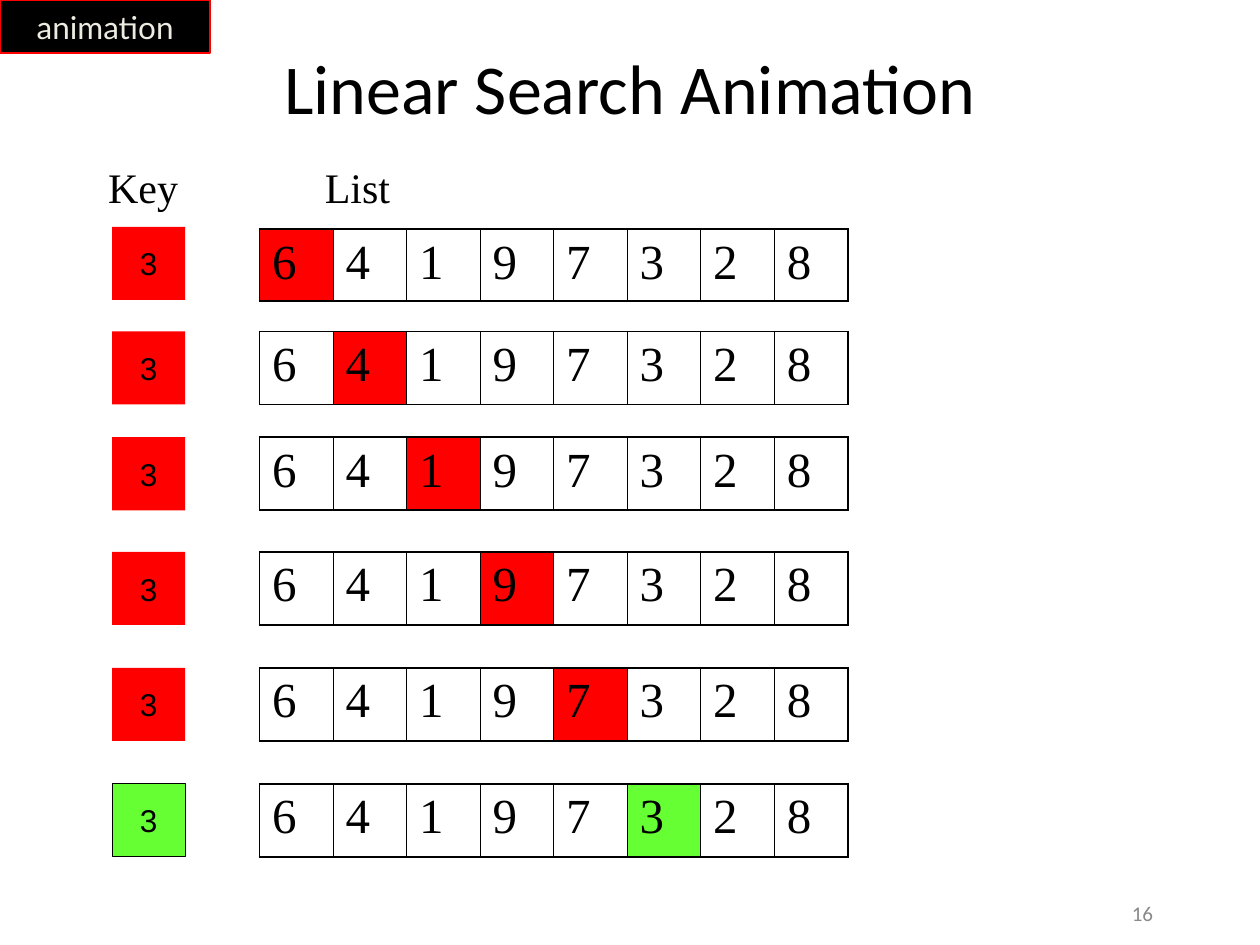
from dataclasses import dataclass

from lxml.etree import SubElement
from pptx import Presentation
from pptx.dml.color import RGBColor
from pptx.enum.shapes import MSO_SHAPE
from pptx.enum.text import MSO_ANCHOR, PP_ALIGN
from pptx.oxml.ns import qn
from pptx.slide import Slide
from pptx.text.text import TextFrame
from pptx.util import Inches, Pt

HEX = {
    "black": "000000",
    "red": "FF0000",
    "green": "66FF33",
    "cream": "EEECE1",
    "grey": "898989",
}
ITEMS = "64197328"
KEY = "3"
SIDE = 0.58
WIDTH = 4.67
THIN, THICK = 0.45, 1.08


@dataclass(frozen=True)
class Box:
    left: float
    top: float
    width: float
    height: float

    def place(self) -> tuple:
        return tuple(Inches(v) for v in (self.left, self.top, self.width, self.height))


@dataclass(frozen=True)
class Font:
    name: str
    size: int
    tint: str = "black"


@dataclass(frozen=True)
class Label:
    text: str
    box: Box
    font: Font
    align: PP_ALIGN = PP_ALIGN.LEFT
    anchor: MSO_ANCHOR = MSO_ANCHOR.TOP
    before: int = 0


@dataclass(frozen=True)
class Step:
    key_top: float
    list_top: float
    height: float = SIDE


SERIF = Font("Times New Roman", 24)
DIGIT = Font("Times New Roman", 28)
LABELS = [
    Label("Linear Search Animation", Box(0.75, 0.31, 8.5, 0.75), Font("Calibri", 40),
          PP_ALIGN.CENTER, MSO_ANCHOR.MIDDLE),
    Label("16", Box(7.17, 7, 2.08, 0.5), Font("Calibri", 12, "grey"),
          PP_ALIGN.RIGHT, MSO_ANCHOR.MIDDLE),
    Label("Key", Box(0.76, 1.23, 1.22, 0.5), SERIF, before=15),
    Label("List", Box(2.48, 1.23, 2.44, 0.5), SERIF, before=15),
]
STEPS = [Step(1.8, 1.82, 0.57)] + [Step(y, y) for y in (2.63, 3.47, 4.38, 5.3, 6.22)]


def shade(name: str) -> RGBColor:
    """Return the named colour."""
    return RGBColor.from_string(HEX[name])


def write(frame: TextFrame, text: str, font: Font, align: PP_ALIGN, before: int = 0) -> None:
    """Write one run into the first paragraph."""
    para = frame.paragraphs[0]
    para.alignment = align
    if before:
        para.space_before = Pt(before)
    run = para.add_run()
    run.text = text
    run.font.name = font.name
    run.font.size = Pt(font.size)
    run.font.color.rgb = shade(font.tint)


def add_label(slide: Slide, label: Label) -> None:
    """Add a plain text box."""
    frame = slide.shapes.add_textbox(*label.box.place()).text_frame
    frame.word_wrap = True
    frame.vertical_anchor = label.anchor
    write(frame, label.text, label.font, label.align, label.before)


def add_block(slide: Slide, text: str, box: Box, fill: str, font: Font,
              line: str | None = None, weight: float = 1) -> None:
    """Add a filled rectangle with centred text."""
    shape = slide.shapes.add_shape(MSO_SHAPE.RECTANGLE, *box.place())
    shape.shadow.inherit = False
    shape.fill.solid()
    shape.fill.fore_color.rgb = shade(fill)
    if line:
        shape.line.color.rgb = shade(line)
        shape.line.width = Pt(weight)
    else:
        shape.line.fill.background()
    frame = shape.text_frame
    frame.word_wrap = False
    frame.vertical_anchor = MSO_ANCHOR.MIDDLE
    write(frame, text, font, PP_ALIGN.CENTER)


def add_edges(cell, widths: dict[str, float]) -> None:
    """Draw the cell borders in schema order."""
    props = cell._tc.get_or_add_tcPr()
    for spot, (side, width) in enumerate(widths.items()):
        edge = SubElement(props, qn(f"a:ln{side}"), w=str(Pt(width)))
        paint = SubElement(edge, qn("a:solidFill"))
        SubElement(paint, qn("a:srgbClr"), val=HEX["black"])
        props.insert(spot, edge)


def add_list(slide: Slide, box: Box, found: int, tint: str) -> None:
    """Add the list as a table with one marked cell."""
    count = len(ITEMS)
    table = slide.shapes.add_table(1, count, *box.place()).table
    table.first_row = table.horz_banding = False
    table.rows[0].height = Inches(box.height)
    for col, item in enumerate(ITEMS):
        table.columns[col].width = Inches(box.width / count)
        cell = table.cell(0, col)
        if col == found:
            cell.fill.solid()
            cell.fill.fore_color.rgb = shade(tint)
        else:
            cell.fill.background()
        write(cell.text_frame, item, DIGIT, PP_ALIGN.LEFT, 7)
        add_edges(cell, {
            "L": THICK if col == 0 else THIN,
            "R": THICK if col == count - 1 else THIN,
            "T": THICK,
            "B": THICK,
        })


def main() -> None:
    """Build the linear search slide."""
    deck = Presentation()
    deck.slide_width, deck.slide_height = Inches(10), Inches(7.5)
    slide = deck.slides.add_slide(deck.slide_layouts[6])
    for label in LABELS:
        add_label(slide, label)
    for spot, step in enumerate(STEPS):
        match = ITEMS[spot] == KEY
        tint = "green" if match else "red"
        add_list(slide, Box(2.06, step.list_top, WIDTH, step.height), spot, tint)
        add_block(slide, KEY, Box(0.89, step.key_top, SIDE, SIDE), tint,
                  Font("Arial", 18), "black" if match else None, 0.75)
    add_block(slide, "animation", Box(0, 0, 1.67, 0.42), "black",
              Font("Lato", 18, "cream"), "red")
    deck.save("out.pptx")


if __name__ == "__main__":
    main()
